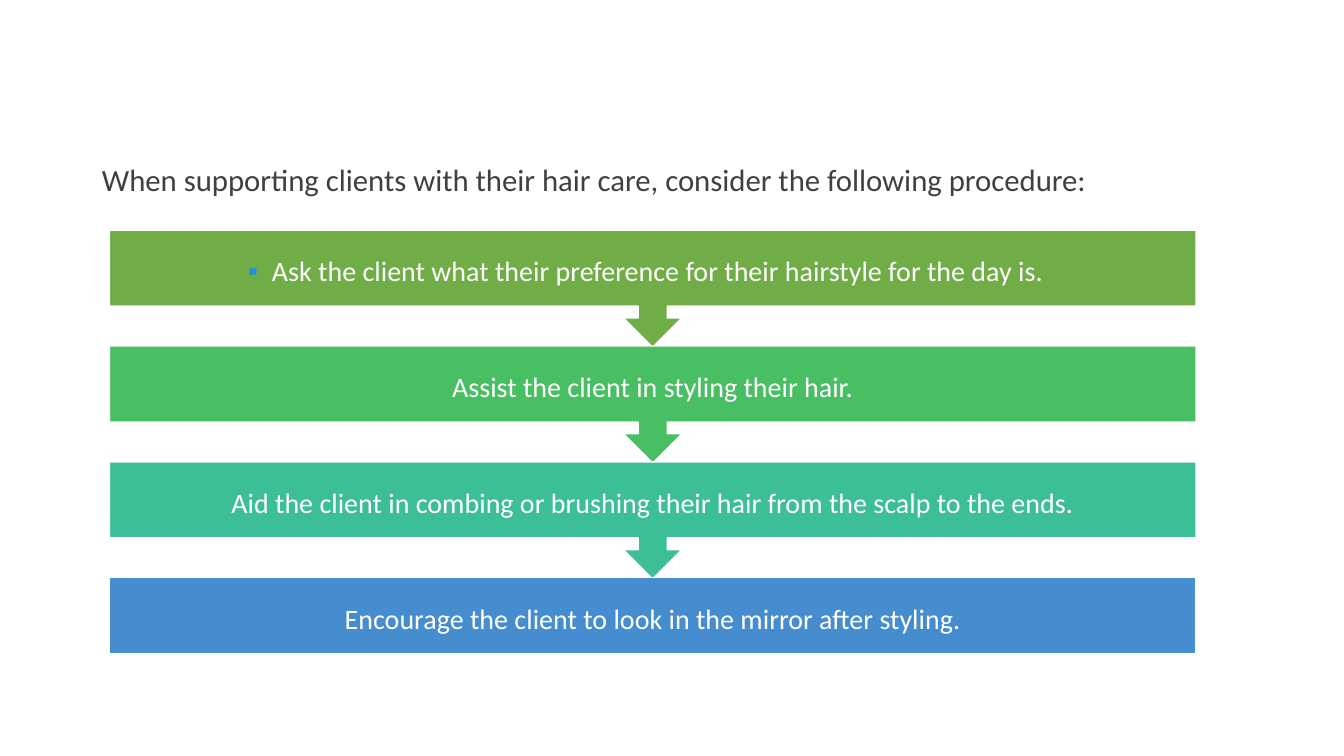
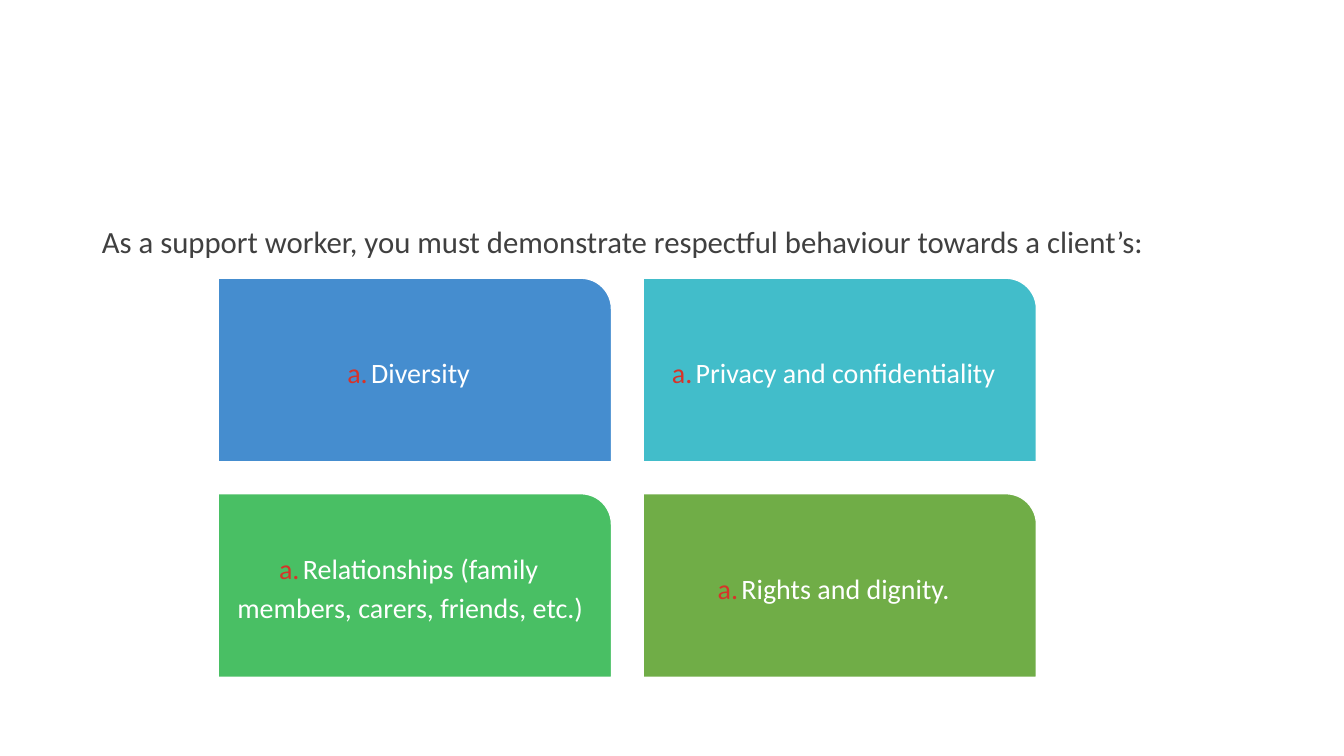
"""Build two slides on hair care and respectful support."""
from dataclasses import dataclass

from lxml import etree
from pptx import Presentation
from pptx import util as u
from pptx.dml.color import RGBColor
from pptx.enum import shapes, text
from pptx.oxml.ns import qn


@dataclass(frozen=True)
class Theme:
    """Hold the colours, font and type sizes."""
    font: str = "Calibri"
    lead: int = 22
    body: int = 20
    dark: str = "404040"
    white: str = "FFFFFF"
    blue: str = "458DCF"
    aqua: str = "42BDCA"
    teal: str = "3CBE99"
    green: str = "49BF64"
    olive: str = "70AD47"
    sky: str = "1C96D3"
    red: str = "D73329"


THEME = Theme()
KIND = shapes.MSO_SHAPE
STEPS = [
    ("Ask the client what their preference for their hairstyle for the day is.", THEME.olive),
    ("Assist the client in styling their hair.", THEME.green),
    ("Aid the client in combing or brushing their hair from the scalp to the ends.", THEME.teal),
    ("Encourage the client to look in the mirror after styling.", THEME.blue),
]
RIGHTS = [
    ("Diversity", THEME.blue),
    ("Privacy and confidentiality", THEME.aqua),
    ("Relationships (family members, carers, friends, etc.)", THEME.green),
    ("Rights and dignity.", THEME.olive),
]
DOT = ("buChar", {"char": "▪"}, THEME.sky, 0.25, -0.6)
LETTER = ("buAutoNum", {"type": "alphaLcPeriod"}, THEME.red, 0, -0.6)


def apply(item, form):
    """Set each attribute named in a dict of format values."""
    for name, value in form.items():
        setattr(item, name, value)


def place(item, left, top, width, height):
    """Move and size an item, in centimetres."""
    spots = zip(("left", "top", "width", "height"), (left, top, width, height))
    apply(item, {name: u.Cm(size) for name, size in spots})


def mark(para, bullet):
    """Give a paragraph a coloured bullet or letter."""
    tag, attrs, tint, margin, indent = bullet
    props = para._p.get_or_add_pPr()
    props.set("marL", str(u.Cm(margin)))
    props.set("indent", str(u.Cm(indent)))
    hue = etree.SubElement(props, qn("a:buClr"))
    etree.SubElement(hue, qn("a:srgbClr"), val=tint)
    if tag == "buChar":
        etree.SubElement(props, qn("a:buFont"), typeface="Arial")
    etree.SubElement(props, qn("a:" + tag), attrs)


def write(frame, words, size, tint, align, anchor, pad, bullet=None):
    """Fill a text frame with one formatted paragraph."""
    edges = ("margin_left", "margin_top", "margin_right", "margin_bottom")
    apply(frame, dict(zip(edges, map(u.Cm, pad))))
    apply(frame, {"word_wrap": True, "vertical_anchor": anchor,
                  "auto_size": text.MSO_AUTO_SIZE.NONE})
    para = frame.paragraphs[0]
    para.text = words
    apply(para, {"alignment": align, "line_spacing": 1.14,
                 "space_before": u.Pt(0), "space_after": u.Pt(6)})
    if bullet:
        mark(para, bullet)
    font = para.runs[0].font
    apply(font, {"name": THEME.font, "size": u.Pt(size), "bold": False})
    font.color.rgb = RGBColor.from_string(tint)


def start(deck, words, top):
    """Add a slide whose title is its lead sentence."""
    slide = deck.slides.add_slide(deck.slide_layouts[5])
    title = slide.shapes.title
    place(title, 2.32, top, 28, 1.6)
    write(title.text_frame, words, THEME.lead, THEME.dark,
          text.PP_ALIGN.LEFT, text.MSO_ANCHOR.TOP, (0.25, 0.13, 0.25, 0.13))
    return slide


def block(slide, kind, spot, words, fill, pad, bullet=None):
    """Add a filled shape with centred white text."""
    shape = slide.shapes.add_shape(kind, *map(u.Cm, spot))
    shape.shadow.inherit = False
    shape.fill.solid()
    shape.fill.fore_color.rgb = RGBColor.from_string(fill)
    shape.line.color.rgb = RGBColor.from_string(THEME.white)
    shape.line.width = u.Pt(1)
    write(shape.text_frame, words, THEME.body, THEME.white,
          text.PP_ALIGN.CENTER, text.MSO_ANCHOR.MIDDLE, (pad,) * 4, bullet)


def flow(slide, steps):
    """Stack the steps, each pointing down to the next."""
    pitch, arrow, bar = 2.92, 2.95, 1.92
    last = len(steps) - 1
    for row, (words, fill) in enumerate(steps):
        kind = KIND.RECTANGLE if row == last else KIND.DOWN_ARROW_CALLOUT
        high = bar if row == last else arrow
        spot = (2.76, 5.8 + row * pitch, 27.38, high)
        block(slide, kind, spot, words, fill, 0.4, None if row else DOT)


def grid(slide, cards):
    """Lay the cards out in two columns."""
    wide, high, gap = 9.91, 4.63, 0.8
    for spot, (words, fill) in enumerate(cards):
        row, col = divmod(spot, 2)
        area = (5.5 + col * (wide + gap), 7.01 + row * (high + gap), wide, high)
        block(slide, KIND.ROUND_1_RECTANGLE, area, words, fill, 0.2, LETTER)


def main():
    """Build and save the deck."""
    deck = Presentation()
    apply(deck, {"slide_width": u.Cm(33.87), "slide_height": u.Cm(19.05)})
    flow(start(deck, "When supporting clients with their hair care, "
               "consider the following procedure:", 3.79), STEPS)
    grid(start(deck, "As a support worker, you must demonstrate respectful "
               "behaviour towards a client’s:", 5.36), RIGHTS)
    deck.save("out.pptx")


if __name__ == "__main__":
    main()
